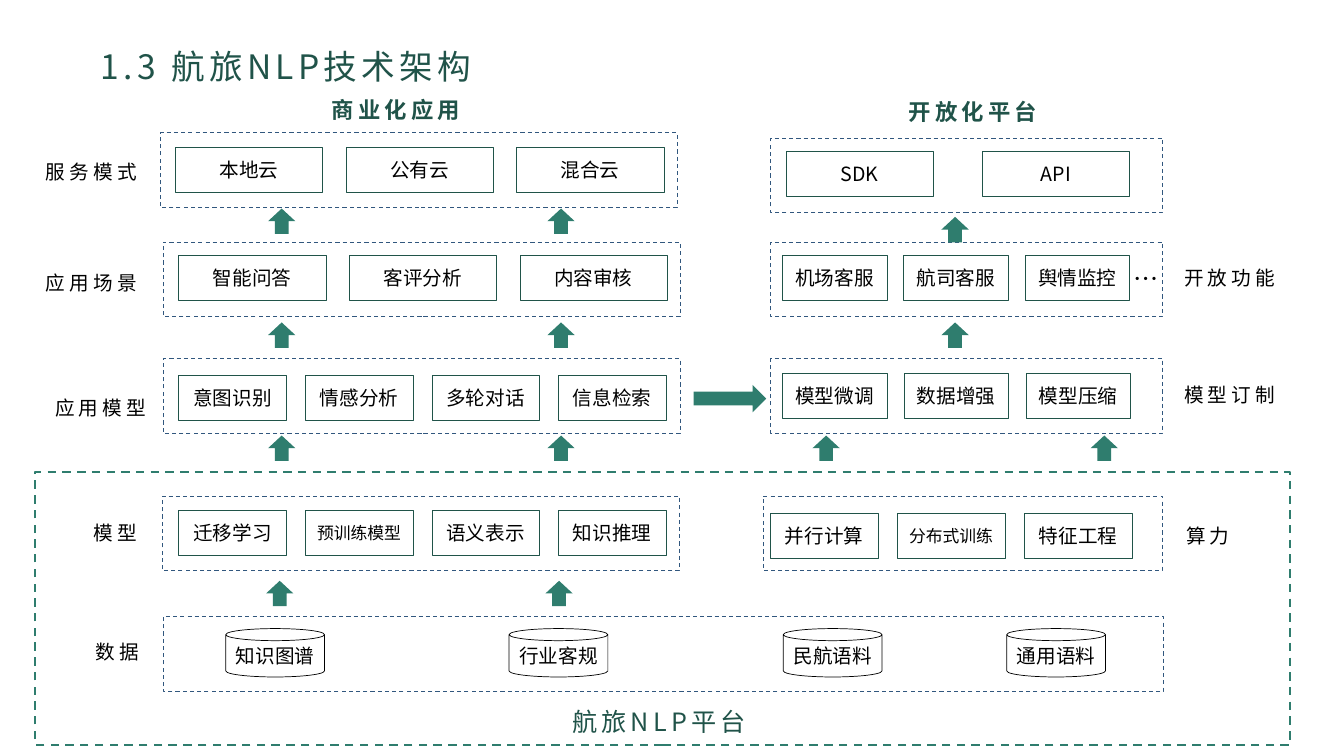
from dataclasses import dataclass

from lxml.etree import SubElement
from pptx import Presentation
from pptx.dml.color import RGBColor
from pptx.enum.dml import MSO_LINE
from pptx.enum.shapes import MSO_SHAPE
from pptx.enum.text import MSO_ANCHOR, MSO_AUTO_SIZE, PP_ALIGN
from pptx.oxml.ns import qn
from pptx.shapes.autoshape import Shape
from pptx.slide import Slide
from pptx.text.text import TextFrame
from pptx.util import Cm, Pt

FONT = "Noto Sans CJK SC"
COLOURS = {
    "dark_green": "205349",
    "green": "2F7D6E",
    "blue": "31577E",
    "black": "000000",
}
FRAME_HEIGHT = 1.88
BOX_HEIGHT = 1.14
ARROW_LENGTH, ARROW_THICKNESS = 0.64, 0.69


@dataclass
class Layer:
    """A dashed frame with an evenly spaced row of boxes; lengths in cm."""
    left: float
    top: float
    width: float
    box_left: float
    box_top: float
    box_width: float
    box_step: float
    names: tuple[str, ...]


@dataclass
class Label:
    text: str
    left: float
    top: float
    width: float = 3.02
    height: float = 0.86
    size: int = 14
    colour: str = "black"
    bold: bool = False
    spacing: int = 3
    alignment: PP_ALIGN = PP_ALIGN.LEFT


@dataclass
class ArrowRow:
    top: float
    lefts: tuple[float, ...]


LAYERS = [
    Layer(4.04, 3.35, 13.03, 4.42, 3.71, 3.71, 4.3, ("本地云", "公有云", "混合云")),
    Layer(4.11, 6.1, 13.03, 4.5, 6.43, 3.71, 4.3, ("智能问答", "客评分析", "内容审核")),
    Layer(4.11, 9.04, 13.03, 4.5, 9.45, 2.72, 3.19,
          ("意图识别", "情感分析", "多轮对话", "信息检索")),
    Layer(4.09, 12.5, 13.03, 4.5, 12.85, 2.72, 3.19,
          ("迁移学习", "预训练模型", "语义表示", "知识推理")),
    Layer(19.43, 3.48, 9.88, 19.81, 3.81, 3.71, 4.95, ("SDK", "API")),
    Layer(19.43, 6.1, 9.88, 19.71, 6.43, 2.64, 3.06, ("机场客服", "航司客服", "舆情监控")),
    Layer(19.43, 9.04, 9.88, 19.71, 9.4, 2.64, 3.07, ("模型微调", "数据增强", "模型压缩")),
    Layer(19.23, 12.5, 10.06, 19.41, 12.93, 2.72, 3.2,
          ("并行计算", "分布式训练", "特征工程")),
]
DATA_STORES = {"知识图谱": 5.69, "行业客规": 12.83, "民航语料": 19.74, "通用语料": 25.37}
UP_ARROWS = [
    ArrowRow(5.23, (6.78, 13.82)),
    ArrowRow(5.44, (23.75,)),
    ArrowRow(8.1, (6.78, 13.82, 23.75)),
    ArrowRow(10.95, (6.78, 13.82, 20.5, 27.51)),
    ArrowRow(14.61, (6.73, 13.77)),
]
LABELS = [
    Label("服务模式", 0.91, 3.91),
    Label("应用场景", 0.91, 6.71),
    Label("应用模型", 1.14, 9.86),
    Label("模型", 2.11, 13),
    Label("数据", 2.16, 16),
    Label("开放功能", 29.59, 6.58),
    Label("模型订制", 29.59, 9.53),
    Label("算力", 29.64, 13.08),
    Label("…", 28.32, 6.5, width=1.2, height=1.02, size=18, spacing=0),
    Label("航旅NLP平台", 14.17, 17.68, width=5.49, height=1.02, size=18, colour="dark_green"),
    Label("商业化应用", 7.7, 2.29, 4.55, 0.94, 16, "dark_green", True, 3, PP_ALIGN.CENTER),
    Label("开放化平台", 22.25, 2.36, 4.55, 0.94, 16, "dark_green", True, 3, PP_ALIGN.CENTER),
]


def rgb(name: str) -> RGBColor:
    return RGBColor.from_string(COLOURS[name])


def write_text(text_frame: TextFrame, text: str, size: int, colour: str,
               alignment: PP_ALIGN, bold: bool = False, spacing: int = 0) -> None:
    """Fill the first paragraph; spacing is the letter spacing in points."""
    paragraph = text_frame.paragraphs[0]
    paragraph.alignment = alignment
    run = paragraph.add_run()
    run.text = text
    run.font.size = Pt(size)
    run.font.bold = bold
    run.font.color.rgb = rgb(colour)
    run.font.name = FONT
    properties = run._r.get_or_add_rPr()
    SubElement(properties, qn("a:ea")).set("typeface", FONT)
    if spacing:
        properties.set("spc", str(spacing * 100))


def add_outline(slide: Slide, kind: MSO_SHAPE, left: float, top: float, width: float,
                height: float, colour: str, weight: float, dashed: bool = False) -> Shape:
    shape = slide.shapes.add_shape(kind, Cm(left), Cm(top), Cm(width), Cm(height))
    shape.shadow.inherit = False
    shape.fill.background()
    shape.line.color.rgb = rgb(colour)
    shape.line.width = Pt(weight)
    if dashed:
        shape.line.dash_style = MSO_LINE.DASH
    return shape


def add_frame(slide: Slide, left: float, top: float, width: float) -> None:
    add_outline(slide, MSO_SHAPE.RECTANGLE, left, top, width, FRAME_HEIGHT, "blue", 0.75, True)


def write_caption(shape: Shape, text: str) -> None:
    """Centre a name in its shape, smaller when it is longer than four characters."""
    text_frame = shape.text_frame
    text_frame.word_wrap = True
    text_frame.margin_left = text_frame.margin_right = 0
    text_frame.vertical_anchor = MSO_ANCHOR.MIDDLE
    write_text(text_frame, text, 12 if len(text) > 4 else 14, "black", PP_ALIGN.CENTER)


def add_layer(slide: Slide, layer: Layer) -> None:
    add_frame(slide, layer.left, layer.top, layer.width)
    for index, name in enumerate(layer.names):
        box = add_outline(slide, MSO_SHAPE.RECTANGLE, layer.box_left + index * layer.box_step,
                          layer.box_top, layer.box_width, BOX_HEIGHT, "dark_green", 0.25)
        write_caption(box, name)


def add_arrow(slide: Slide, left: float, top: float, length: float, rotation: int = 0) -> None:
    arrow = slide.shapes.add_shape(MSO_SHAPE.RIGHT_ARROW, Cm(left), Cm(top),
                                   Cm(length), Cm(ARROW_THICKNESS))
    arrow.rotation = rotation
    arrow.shadow.inherit = False
    arrow.fill.solid()
    arrow.fill.fore_color.rgb = rgb("green")
    arrow.line.fill.background()


def add_label(slide: Slide, label: Label) -> None:
    text_box = slide.shapes.add_textbox(Cm(label.left), Cm(label.top),
                                        Cm(label.width), Cm(label.height))
    text_frame = text_box.text_frame
    text_frame.word_wrap = True
    text_frame.auto_size = MSO_AUTO_SIZE.SHAPE_TO_FIT_TEXT
    write_text(text_frame, label.text, label.size, label.colour, label.alignment,
               label.bold, label.spacing)


def add_title(slide: Slide) -> None:
    title = slide.shapes.title
    title.left, title.top, title.width, title.height = Cm(2.29), Cm(1.02), Cm(11.86), Cm(1.27)
    title.text_frame.auto_size = MSO_AUTO_SIZE.NONE
    title.text_frame.vertical_anchor = MSO_ANCHOR.TOP
    write_text(title.text_frame, "1.3 航旅NLP技术架构", 24, "dark_green",
               PP_ALIGN.LEFT, spacing=3)


def main() -> None:
    presentation = Presentation()
    presentation.slide_width, presentation.slide_height = Cm(33.87), Cm(19.05)
    slide = presentation.slides.add_slide(presentation.slide_layouts[5])
    add_title(slide)
    add_outline(slide, MSO_SHAPE.RECTANGLE, 0.89, 11.89, 31.62, 6.88, "green", 1.5, True)
    for layer in LAYERS:
        add_layer(slide, layer)
    add_frame(slide, 4.11, 15.54, 25.22)
    for name, left in DATA_STORES.items():
        store = add_outline(slide, MSO_SHAPE.CAN, left, 15.84, 2.49, 1.22, "black", 0.5)
        write_caption(store, name)
    for row in UP_ARROWS:
        for left in row.lefts:
            add_arrow(slide, left, row.top, ARROW_LENGTH, rotation=270)
    add_arrow(slide, 17.48, 9.7, 1.83)
    for label in LABELS:
        add_label(slide, label)
    presentation.save("out.pptx")


if __name__ == "__main__":
    main()
